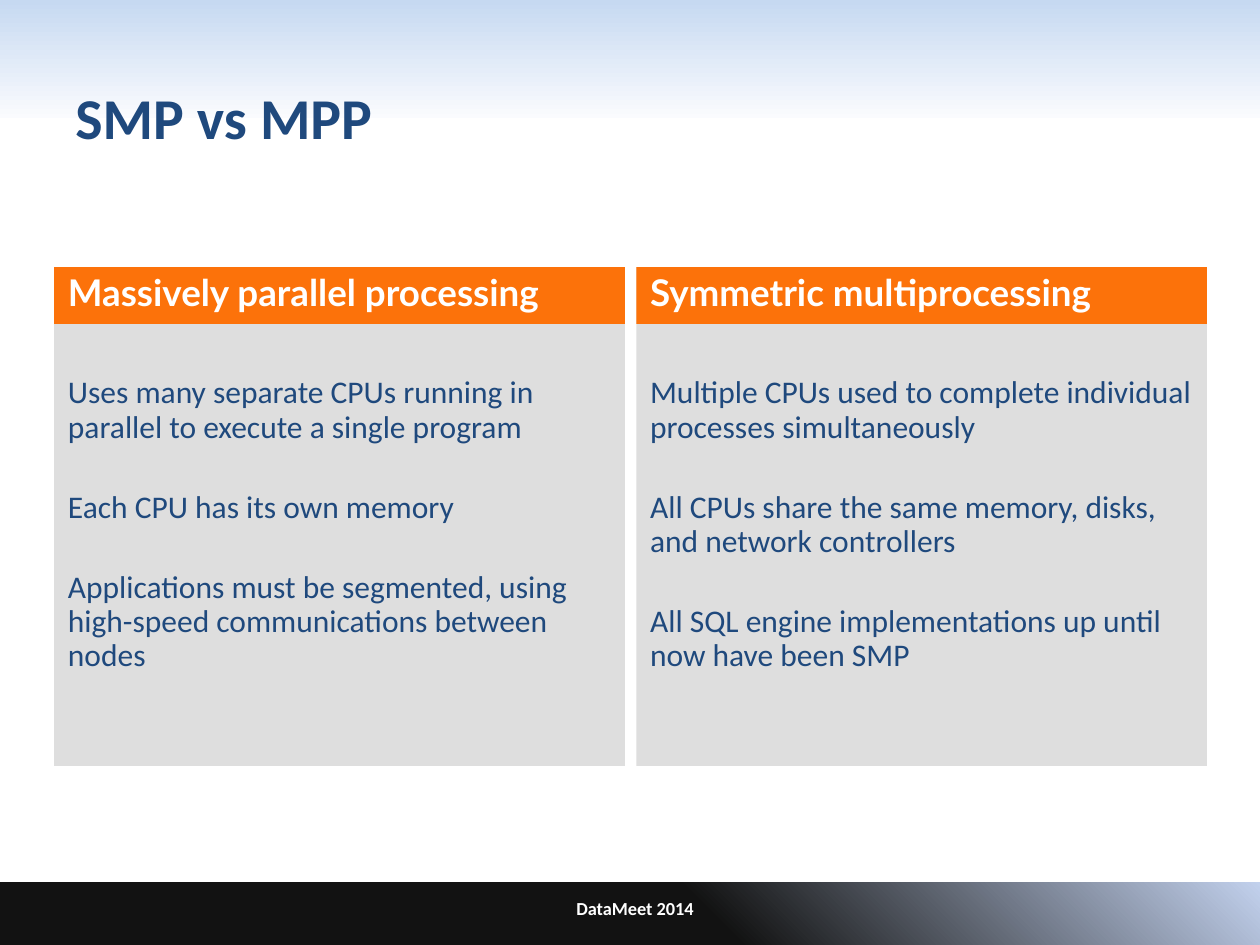
from pptx import Presentation
from pptx.dml.color import RGBColor
from pptx.enum.shapes import MSO_SHAPE as Shape
from pptx.enum.text import MSO_ANCHOR as Anchor, PP_ALIGN as Align
from pptx.util import Inches, Pt

WHITE = RGBColor(0xFF, 0xFF, 0xFF)
NAVY = RGBColor(0x1F, 0x49, 0x7D)
ORANGE = RGBColor(0xFC, 0x72, 0x0A)
GREY = RGBColor(0xDE, 0xDE, 0xDE)
SKY = RGBColor(0xC6, 0xD9, 0xF1)
MIST = RGBColor(0xFA, 0xFB, 0xFE)
BLACK = RGBColor(0x12, 0x12, 0x12)
ICE = RGBColor(0xC2, 0xD1, 0xED)

COLUMNS = [
    ("Massively parallel processing", [
        "Uses many separate CPUs running in parallel to execute a single program",
        "Each CPU has its own memory",
        "Applications must be segmented, using high-speed communications between nodes",
    ]),
    ("Symmetric multiprocessing", [
        "Multiple CPUs used to complete individual processes simultaneously",
        "All CPUs share the same memory, disks, and network controllers",
        "All SQL engine implementations up until now have been SMP",
    ]),
]


def add_rect(page, left, top, width, height, color=None):
    """Add a plain rectangle without line or shadow."""
    rect = page.shapes.add_shape(
        Shape.RECTANGLE, Inches(left), Inches(top), Inches(width), Inches(height))
    rect.shadow.inherit = False
    rect.line.fill.background()
    if color is not None:
        rect.fill.solid()
        rect.fill.fore_color.rgb = color
    return rect


def add_band(page, left, top, width, height, stops, angle):
    """Add a rectangle filled with a two-stop linear gradient."""
    fill = add_rect(page, left, top, width, height).fill
    fill.gradient()
    fill.gradient_angle = angle
    for stop, (position, color) in zip(fill.gradient_stops, stops):
        stop.position = position
        stop.color.rgb = color


def add_text(page, left, top, width, height, paragraphs, size, color, font="Calibri",
             bold=False, align=Align.LEFT, anchor=Anchor.MIDDLE,
             insets=(0.1, 0.05, 0.1, 0.05), line_spacing=1.0, gap=0):
    """Add a wrapped text box with a gap between its paragraphs."""
    box = page.shapes.add_textbox(Inches(left), Inches(top), Inches(width), Inches(height))
    frame = box.text_frame
    frame.word_wrap = True
    frame.vertical_anchor = anchor
    (frame.margin_left, frame.margin_top,
     frame.margin_right, frame.margin_bottom) = map(Inches, insets)
    for index, text in enumerate(paragraphs):
        para = frame.paragraphs[0] if index == 0 else frame.add_paragraph()
        para.alignment = align
        para.line_spacing = line_spacing
        para.space_before = Pt(gap if index else 0)
        span = para.add_run()
        span.text = text
        span.font.name = font
        span.font.size = Pt(size)
        span.font.bold = bold
        span.font.color.rgb = color


def add_header(page, left, top, width, height):
    """Add the pale top band and the slide title."""
    add_band(page, left, top, width, height, [(0, SKY), (1, MIST)], 270)
    add_text(page, left + 0.5, top + 0.3, width - 1, 1.25, ["SMP vs MPP"], 33, NAVY, bold=True)


def add_footer(page, left, top, width, height):
    """Add the dark bottom band and the event name."""
    add_band(page, left, top, width, height, [(0.56, BLACK), (1, ICE)], 45)
    add_text(page, left + 2.83, top, 4.42, 0.42, ["DataMeet 2014"], 10.5, WHITE,
             bold=True, align=Align.CENTER)


def add_column(page, left, top, width, height, heading, points):
    """Add a grey panel with an orange heading bar and its points."""
    bar = 0.45
    add_rect(page, left, top, width, height, GREY)
    add_rect(page, left, top, width, bar, ORANGE)
    add_text(page, left, top + bar, width, 3.15, points, 18, NAVY, anchor=Anchor.TOP,
             insets=(0.11, 0.42, 0.11, 0), line_spacing=0.9, gap=26.3)
    add_text(page, left, top + 0.06, width, 0.32, [heading], 21, WHITE, font="Lato",
             bold=True, insets=(0.11, 0, 0.11, 0), line_spacing=0.9)


def main():
    """Build the slide and save the deck."""
    deck = Presentation()
    deck.slide_width, deck.slide_height = Inches(10), Inches(7.5)
    page = deck.slides.add_slide(deck.slide_layouts[6])
    add_header(page, 0, 0, 10, 0.94)
    add_footer(page, 0, 7, 10, 0.51)
    for index, (heading, points) in enumerate(COLUMNS):
        add_column(page, 0.43 + index * 4.62, 2.12, 4.53, 3.96, heading, points)
    deck.save("out.pptx")


if __name__ == "__main__":
    main()
